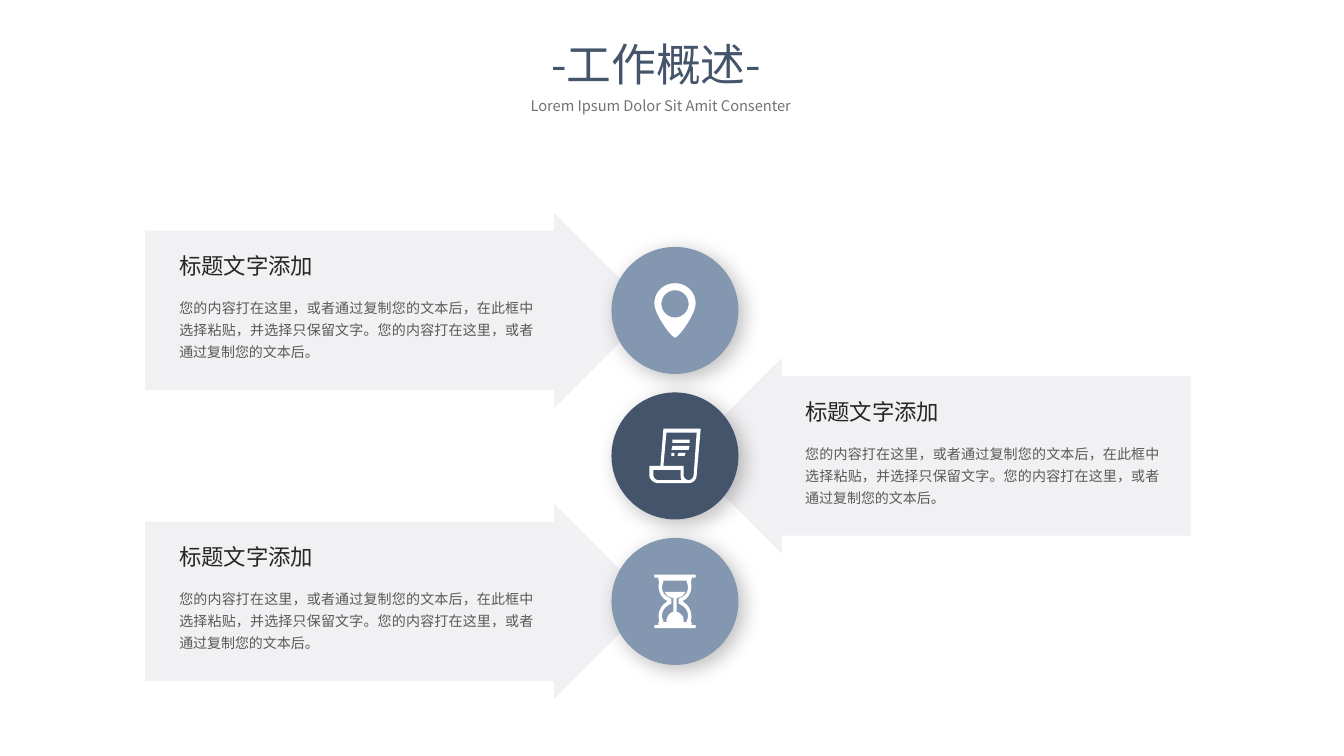
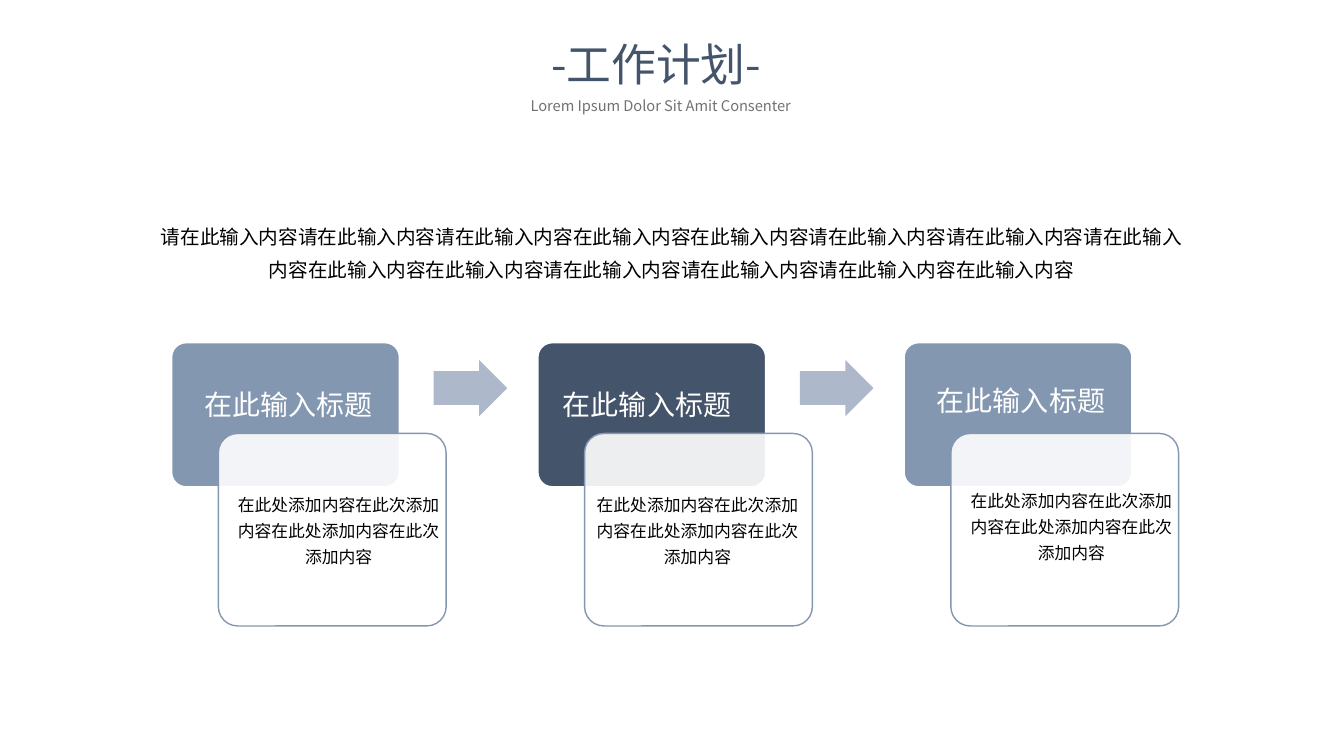
from lxml import etree
from pptx import Presentation, util as u
from pptx.dml.color import RGBColor
from pptx.enum import shapes, text
from pptx.oxml import ns

NAVY = RGBColor(0x44, 0x54, 0x6A)
STEEL = RGBColor(0x84, 0x97, 0xB0)
MIST = RGBColor(0xAD, 0xB9, 0xCA)
PALE = RGBColor(0xF1, 0xF1, 0xF3)
WHITE = RGBColor(0xFF, 0xFF, 0xFF)
BLACK = RGBColor(0, 0, 0)
INK = RGBColor(0x26, 0x26, 0x26)
GREY = RGBColor(0x59, 0x59, 0x59)
STONE = RGBColor(0x76, 0x71, 0x71)

SANS = "Noto Sans CJK SC"
KIND = shapes.MSO_SHAPE
ALIGN = text.PP_ALIGN
ANCHOR = text.MSO_ANCHOR
CELL = 1 / 3  # inches; the slide is 40 columns by 22.5 rows

TITLE = dict(size=32, color=NAVY, align=ALIGN.JUSTIFY)
SUB = dict(size=10.5, color=STONE, align=ALIGN.JUSTIFY)
HEAD = dict(size=16, color=INK, name="Arial Narrow",
            anchor=ANCHOR.MIDDLE, wrap=False)
BODY = dict(size=10, color=GREY, align=ALIGN.JUSTIFY, lead=1.3)
LABEL = dict(size=20, color=WHITE, align=ALIGN.CENTER)
NOTE = dict(size=12, color=BLACK, align=ALIGN.CENTER, lead=1.3)
INTRO = dict(size=14, color=BLACK, align=ALIGN.CENTER, lead=1.42)

# Icon outlines in hundredths of an inch: a pair is a corner,
# six numbers are the two controls and the end of a curve.
PIN = (41, 54, [
    [(20.5, 0), (9, 0, 0, 9, 0, 20), (0, 31, 17, 54, 20.5, 54),
     (24, 54, 41, 31, 41, 20), (41, 9, 32, 0, 20.5, 0)],
    [(20.5, 34), (13, 34, 7, 28, 7, 20.5), (7, 13, 13, 7, 20.5, 7),
     (28, 7, 34, 13, 34, 20.5), (34, 28, 28, 34, 20.5, 34)],
])
SCROLL = (51, 54, [
    [(51, 0), (47, 46), (47, 50, 44, 54, 39, 54), (9, 54),
     (4, 54, 0, 50, 0, 46), (0, 37), (11, 37), (14, 0)],
    [(32, 51), (31, 49, 31, 47, 31, 46), (31, 41), (4, 41), (4, 46),
     (4, 48, 6, 51, 9, 51)],
    [(47, 4), (17, 4), (14, 37), (34, 37), (34, 46),
     (34, 48, 36, 51, 39, 51), (42, 51, 44, 48, 44, 46)],
    [(40, 14), (23, 14), (23, 11), (40, 11)],
    [(39, 21), (40, 17), (23, 17), (22, 21)],
    [(28, 27), (35, 27), (36, 24), (29, 24)],
    [(25, 24), (22, 24), (22, 27), (25, 27)],
])
GLASS = (41, 53, [
    [(37, 3), (41, 3), (41, 0), (0, 0), (0, 3), (4, 3), (4, 6), (5, 6),
     (3, 13, 5, 21, 11, 25), (13, 26), (11, 28), (5, 32, 3, 40, 5, 47),
     (4, 47), (4, 50), (0, 50), (0, 53), (41, 53), (41, 50), (37, 50),
     (37, 47), (36, 47), (38, 40, 36, 32, 30, 28), (28, 26), (30, 25),
     (36, 21, 38, 13, 36, 6), (37, 6)],
    [(28, 22), (24, 24), (24, 29), (25, 29, 27, 30, 28, 31),
     (33, 34, 35, 41, 32, 46), (32, 47), (29, 47),
     (29, 44, 29, 41, 26, 39), (25, 38, 24, 37, 22, 37), (22, 23),
     (24, 23, 26, 22, 28, 21), (31, 17), (10, 17), (13, 21),
     (15, 22, 17, 23, 19, 23), (19, 37), (17, 37, 16, 38, 15, 39),
     (13, 41, 12, 44, 12, 47), (9, 47), (9, 46), (6, 41, 8, 34, 13, 31),
     (14, 30, 16, 29, 17, 29), (17, 24), (13, 22), (8, 19, 6, 13, 9, 7),
     (9, 6), (32, 6), (32, 7), (35, 13, 33, 19, 28, 22)],
])


def grid(*cells):
    return [u.Inches(cell * CELL) for cell in cells]


def trace(steps, count=10):
    """Turn corners and cubic curves into a list of points in EMU."""
    points = [steps[0]]
    for step in steps[1:]:
        if len(step) == 2:
            points.append(step)
            continue
        ends = [points[-1], step[:2], step[2:4], step[4:]]
        for i in range(1, count + 1):
            t = i / count
            s = 1 - t
            mix = s**3, 3 * s * s * t, 3 * s * t * t, t**3
            points.append(tuple(sum(m * end[axis] for m, end in zip(mix, ends))
                                for axis in (0, 1)))
    return [(u.Inches(x / 100), u.Inches(y / 100)) for x, y in points]


class Deck:
    def __init__(self):
        self.show = Presentation()
        self.show.slide_width, self.show.slide_height = grid(40, 22.5)

    def page(self, title):
        self.slide = self.show.slides.add_slide(self.show.slide_layouts[5])
        head = self.slide.shapes.title
        head.left, head.top, head.width, head.height = grid(16.1, 0.95, 7.8, 1.85)
        self.fill_in(head, title, TITLE)
        self.label((15.5, 2.73, 9, 0.85), "Lorem Ipsum Dolor Sit Amit Consenter", SUB)

    def fill_in(self, box, words, style):
        frame = box.text_frame
        frame.text = words
        frame.auto_size = text.MSO_AUTO_SIZE.NONE
        frame.word_wrap = style.get("wrap", True)
        frame.vertical_anchor = style.get("anchor", ANCHOR.TOP)
        para = frame.paragraphs[0]
        para.alignment = style.get("align", ALIGN.LEFT)
        para.line_spacing = style.get("lead", 1.0)
        font = para.runs[0].font
        look = dict(name=style.get("name", SANS), size=u.Pt(style["size"]),
                    bold=False)
        for key, value in look.items():
            setattr(font, key, value)
        font.color.rgb = style["color"]
        east = etree.SubElement(font._element, ns.qn("a:ea"))
        east.set("typeface", SANS)

    def label(self, area, words, style):
        self.fill_in(self.slide.shapes.add_textbox(*grid(*area)), words, style)

    def paint(self, shape, fill, line=None):
        shape.shadow.inherit = False
        shape.fill.solid()
        shape.fill.fore_color.rgb = fill
        if line is None:
            shape.line.fill.background()
        else:
            shape.line.color.rgb = line
            shape.line.width = u.Pt(1)

    def block(self, kind, area, fill, line=None, bend=()):
        shape = self.slide.shapes.add_shape(kind, *grid(*area))
        for i, value in enumerate(bend):
            shape.adjustments[i] = value
        self.paint(shape, fill, line)
        return shape

    def card(self, area, fill, line):
        return self.block(KIND.ROUNDED_RECTANGLE, area, fill, line, [0.1])

    def fade(self, node, share):
        """Set the opacity of a colour node in percent."""
        etree.SubElement(node, ns.qn("a:alpha")).set("val", str(share * 1000))

    def disc(self, area, fill):
        shape = self.block(KIND.OVAL, area, fill)
        effects = shape._element.spPr.find(ns.qn("a:effectLst"))
        glow = etree.SubElement(effects, ns.qn("a:outerShdw"))
        look = dict(blurRad=u.Pt(15), dist=u.Pt(5), dir=45 * 60000,
                    algn="tl", rotWithShape=0)
        for key, value in look.items():
            glow.set(key, str(value))
        tone = etree.SubElement(glow, ns.qn("a:srgbClr"))
        tone.set("val", str(BLACK))
        self.fade(tone, 25)

    def icon(self, area, drawing):
        """Draw an icon in the middle of an area."""
        wide, high, outlines = drawing
        x, y, w, h = grid(*area)
        lines = [trace(outline) for outline in outlines]
        pen = self.slide.shapes.build_freeform(*lines[0][0], scale=1.0)
        for i, line in enumerate(lines):
            if i:
                pen.move_to(*line[0])
            pen.add_line_segments(line[1:], close=True)
        left = x + (w - u.Inches(wide / 100)) // 2
        top = y + (h - u.Inches(high / 100)) // 2
        self.paint(pen.convert_to_shape(left, top), WHITE)


def review(deck):
    deck.page("-工作概述-")
    words = ("您的内容打在这里，或者通过复制您的文本后，在此框中选择粘贴，"
             "并选择只保留文字。您的内容打在这里，或者通过复制您的文本后。")
    rows = [
        (KIND.RIGHT_ARROW, 4.32, 5.04, STEEL, PIN),
        (KIND.LEFT_ARROW, 20.36, 23.67, NAVY, SCROLL),
        (KIND.RIGHT_ARROW, 4.32, 5.04, STEEL, GLASS),
    ]
    pitch = 4.33
    for i, (kind, x, *_) in enumerate(rows):
        deck.block(kind, (x, 6.33 + i * pitch, 15.08, 5.82), PALE,
                   bend=[0.815, 0.5])
    for i, (_, _, x, fill, drawing) in enumerate(rows):
        y = 7.35 + i * pitch
        spot = (18.2, y, 3.78, 3.78)
        deck.disc(spot, fill)
        deck.icon(spot, drawing)
        deck.label((x, y, 4.74, 1.11), "标题文字添加", HEAD)
        deck.label((x, y + 1.28, 11.13, 2.28), words, BODY)


def plan(deck):
    deck.page("-工作计划-")
    ask, add = "请在此输入内容", "在此输入内容"
    deck.label((4.35, 6.24, 31.29, 2.22),
               ask * 3 + add * 2 + ask * 3 + add * 2 + ask * 3 + add, INTRO)
    steps = [(STEEL, 4.77, 11.4), (NAVY, 15.45, 11.4), (STEEL, 26.58, 11.28)]
    for i, (fill, left, top) in enumerate(steps):
        x = 5.11 + i * 10.9
        deck.card((x, 10.2, 6.78, 4.29), fill, WHITE)
        front = deck.card((x + 1.39, 12.9, 6.78, 5.73), WHITE, STEEL)
        deck.fade(front._element.spPr.find(".//" + ns.qn("a:srgbClr")), 90)
        if i < len(steps) - 1:
            deck.block(KIND.RIGHT_ARROW, (x + 7.8, 10.71, 2.19, 1.68), MIST,
                       bend=[0.6, 0.5])
        deck.label((left, top, 7.62, 1.32), "在此输入标题", LABEL)
        deck.label((left + 1.95, top + 3, 6.72, 2.58),
                   "在此处添加内容在此次添加内容" * 2, NOTE)


def main():
    deck = Deck()
    review(deck)
    plan(deck)
    deck.show.save("out.pptx")


if __name__ == "__main__":
    main()
